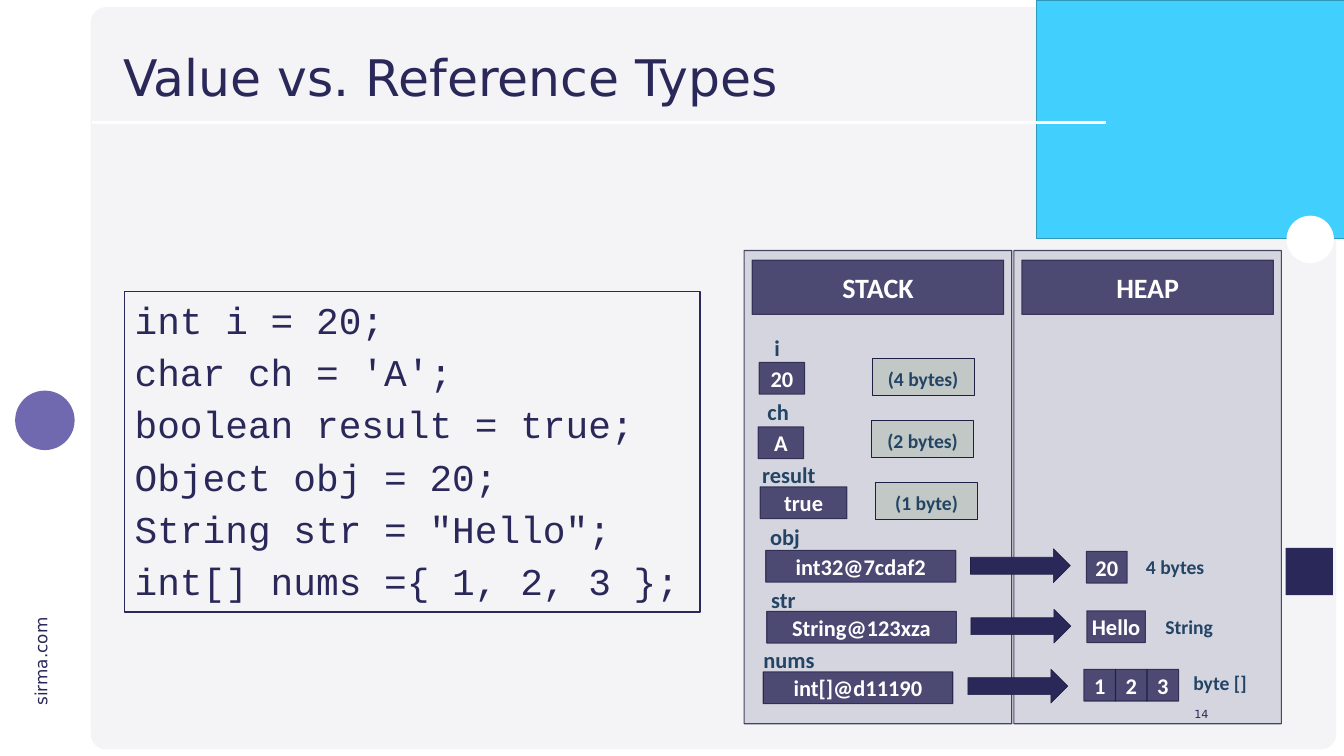
from dataclasses import dataclass

from lxml.etree import SubElement
from pptx import Presentation
from pptx.dml.color import RGBColor
from pptx.enum.shapes import MSO_CONNECTOR, MSO_SHAPE
from pptx.enum.text import MSO_ANCHOR, PP_ALIGN
from pptx.oxml.ns import qn
from pptx.util import Inches, Pt


@dataclass(frozen=True)
class Theme:
    navy: str = "2A2859"
    edge: str = "1F1E43"
    white: str = "FFFFFF"
    panel: str = "F4F4F7"
    sky: str = "41CFFD"
    sky_edge: str = "3099BB"
    purple: str = "7169B0"
    green: str = "548235"
    label: str = "234465"
    sans: str = "DejaVu Sans"
    code: str = "Courier New"
    body: str = "Calibri"
    title_size: int = 72
    code_size: int = 54
    heading_size: int = 40
    chip_size: int = 32
    note_size: int = 28
    site_size: int = 24
    number_size: int = 16


theme = Theme()
deck = Presentation()
deck.slide_width, deck.slide_height = Inches(26.66), Inches(15)
page = deck.slides.add_slide(deck.slide_layouts[6])


def add_box(kind, place, fill=None, opacity=100, line=None, width=1, line_opacity=100):
    box = page.shapes.add_shape(kind, *[Inches(length) for length in place])
    box.shadow.inherit = False
    box.fill.background()
    box.line.fill.background()
    if fill:
        box.fill.solid()
        box.fill.fore_color.rgb = RGBColor.from_string(fill)
    if line:
        box.line.color.rgb = RGBColor.from_string(line)
        box.line.width = Pt(width)
    for paint, percent in ((box.fill, opacity), (box.line.fill, line_opacity)):
        if percent < 100:
            color = paint._xPr.find(qn("a:solidFill"))[0]
            SubElement(color, qn("a:alpha")).set("val", str(percent * 1000))
    return box


def write(box, lines, size, font, color, bold=False, align=PP_ALIGN.LEFT,
          anchor=MSO_ANCHOR.MIDDLE, insets=(0.1, 0.05), spacing=None, gap=0, wrap=True):
    frame = box.text_frame
    frame.word_wrap = wrap
    frame.vertical_anchor = anchor
    frame.margin_left = frame.margin_right = Inches(insets[0])
    frame.margin_top = frame.margin_bottom = Inches(insets[1])
    for index, text in enumerate(lines):
        para = frame.add_paragraph() if index else frame.paragraphs[0]
        para.text = text
        para.alignment = align
        if spacing:
            para.line_spacing = spacing
        if index and gap:
            para.space_before = Pt(gap)
        para.font.size = Pt(size)
        para.font.name = font
        para.font.bold = bold
        para.font.color.rgb = RGBColor.from_string(color)


backdrop = add_box(MSO_SHAPE.ROUNDED_RECTANGLE, (1.8, 0.14, 24.71, 14.73), theme.panel)
backdrop.adjustments[0] = 0.021

site = page.shapes.add_textbox(Inches(-0.18), Inches(12.86), Inches(1.97), Inches(0.5))
site.rotation = 270
write(site, ["sirma.com"], theme.site_size, theme.sans, theme.navy,
      anchor=MSO_ANCHOR.TOP, wrap=False)

add_box(MSO_SHAPE.RECTANGLE, (20.56, 0, 6.11, 4.73), theme.sky, line=theme.sky_edge)
add_box(MSO_SHAPE.RECTANGLE, (1.83, 0.53, 18.34, 2.38), theme.panel)
rule = page.shapes.add_connector(
    MSO_CONNECTOR.STRAIGHT, Inches(1.83), Inches(2.43), Inches(21.93), Inches(2.43))
rule.line.color.rgb = RGBColor.from_string(theme.white)
rule.line.width = Pt(3)
SubElement(rule._element.spPr, qn("a:effectLst"))
add_box(MSO_SHAPE.RECTANGLE, (25.5, 10.87, 0.94, 0.94), theme.navy)
add_box(MSO_SHAPE.OVAL, (0.3, 7.75, 1.18, 1.18), theme.purple)
add_box(MSO_SHAPE.OVAL, (25.52, 4.28, 0.94, 0.94), theme.white)

title = page.shapes.add_textbox(Inches(2.35), Inches(0.8), Inches(19.57), Inches(1.58))
write(title, ["Value vs. Reference Types"], theme.title_size, theme.sans, theme.navy, spacing=0.9)

code = add_box(MSO_SHAPE.RECTANGLE, (2.47, 5.78, 11.42, 6.36), line=theme.navy, width=2.25)
write(code, [
    "int i = 20;",
    "char ch = 'A';",
    "boolean result = true;",
    "Object obj = 20;",
    "String str = \"Hello\";",
    "int[] nums ={ 1, 2, 3 };",
], theme.code_size, theme.code, theme.navy, anchor=MSO_ANCHOR.TOP, insets=(0.2, 0.1), gap=10)

chips = []
for heading, left in (("HEAP", 20.11), ("STACK", 14.76)):
    add_box(MSO_SHAPE.RECTANGLE, (left, 4.97, 5.31, 9.39), theme.navy, 15, theme.edge, 1.5, 80)
    chips.append((heading, left + 0.16, 5.16, 4.99, 1.08, theme.heading_size))

values = [
    ("20", 15.06, 7.19, 0.9),
    ("A", 15.04, 8.47, 0.9),
    ("true", 15.08, 9.66, 1.72),
    ("int32@7cdaf2", 15.19, 10.92, 3.77),
    ("String@123xza", 15.21, 12.13, 3.76),
    ("int[]@d11190", 15.14, 13.33, 3.76),
    ("20", 21.55, 10.94, 0.81),
    ("Hello", 21.56, 12.12, 1.16),
]
values += [(str(item + 1), 21.5 + item * 0.625, 13.28, 0.63) for item in range(3)]
chips += [(*value, 0.63, theme.chip_size) for value in values]
for text, left, top, width, height, size in chips:
    chip = add_box(MSO_SHAPE.RECTANGLE, (left, top, width, height),
                   theme.navy, 80, theme.edge, 1.5, 80)
    write(chip, [text], size, theme.body, theme.white, True, PP_ALIGN.CENTER, wrap=False)

for left, top in ((19.25, 10.89), (19.26, 12.09), (19.2, 13.28)):
    add_box(MSO_SHAPE.RIGHT_ARROW, (left, top, 1.98, 0.67), theme.navy, line=theme.edge)

notes = []
for text, left, top in (("(4 bytes)", 17.3, 7.11), ("(2 bytes)", 17.29, 8.35),
                        ("(1 byte)", 17.37, 9.58)):
    box = add_box(MSO_SHAPE.RECTANGLE, (left, top, 2.02, 0.73), theme.green, 15, theme.edge)
    notes.append((box, text, theme.note_size))

for text, left, top, width, height, size in (
    ("i", 14.95, 6.46, 0.93, 0.8, theme.chip_size),
    ("ch", 14.97, 7.72, 0.93, 0.8, theme.chip_size),
    ("result", 14.89, 8.98, 1.51, 0.8, theme.chip_size),
    ("obj", 14.73, 10.2, 1.68, 0.8, theme.chip_size),
    ("str", 14.7, 11.45, 1.68, 0.8, theme.chip_size),
    ("nums", 14.81, 12.64, 1.68, 0.8, theme.chip_size),
    ("4 bytes", 22.3, 10.84, 2.02, 0.73, theme.note_size),
    ("String", 22.58, 12.03, 2.02, 0.73, theme.note_size),
    ("byte []", 23.19, 13.14, 2.02, 0.73, theme.note_size),
):
    box = page.shapes.add_textbox(Inches(left), Inches(top), Inches(width), Inches(height))
    notes.append((box, text, size))

for box, text, size in notes:
    write(box, [text], size, theme.body, theme.label, True, PP_ALIGN.CENTER,
          MSO_ANCHOR.TOP, (0.16, 0.12), 1.1)

number = page.shapes.add_textbox(Inches(23.42), Inches(13.83), Inches(0.65), Inches(0.52))
write(number, ["14"], theme.number_size, theme.sans, theme.navy,
      align=PP_ALIGN.RIGHT, anchor=MSO_ANCHOR.BOTTOM)

deck.save("out.pptx")
